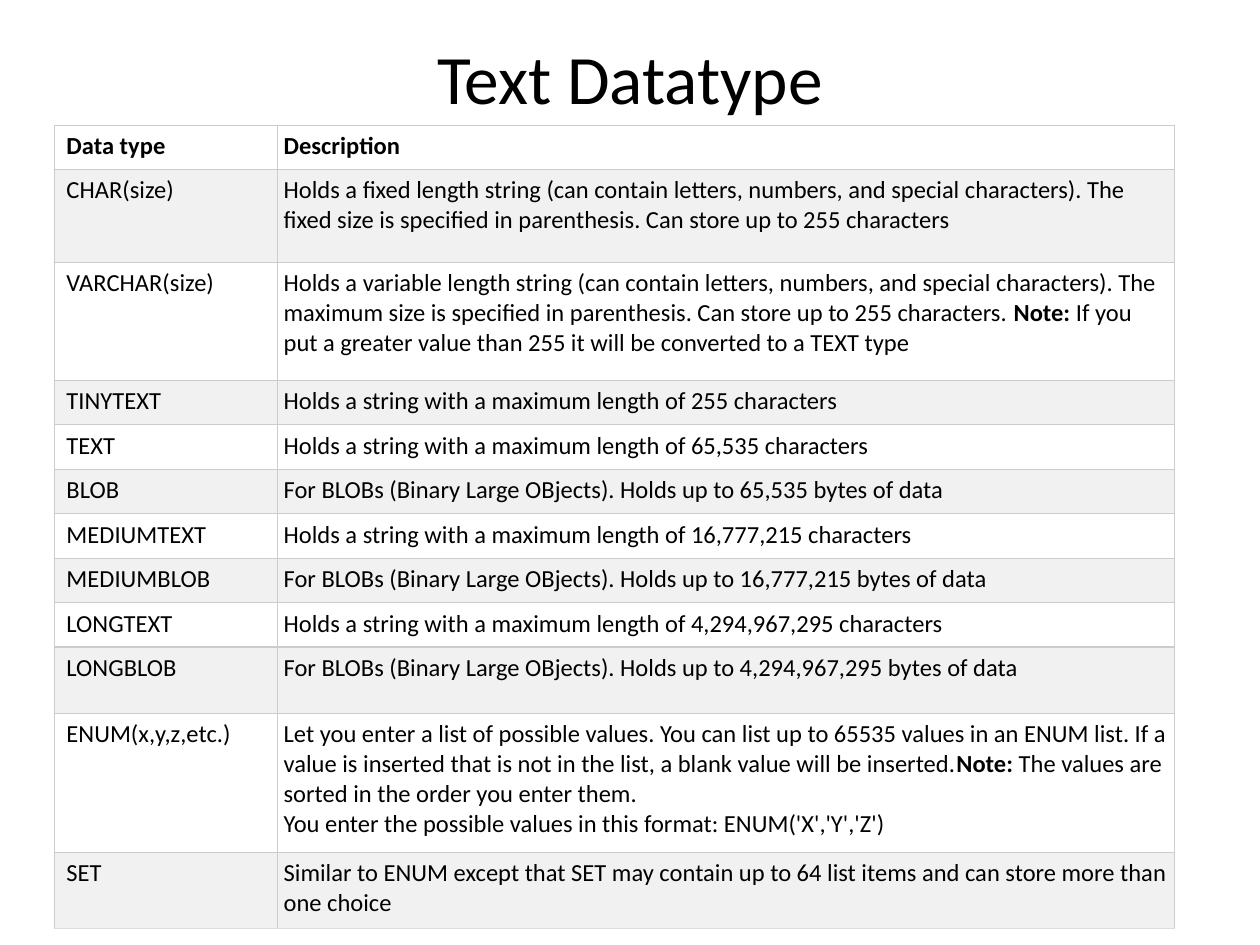
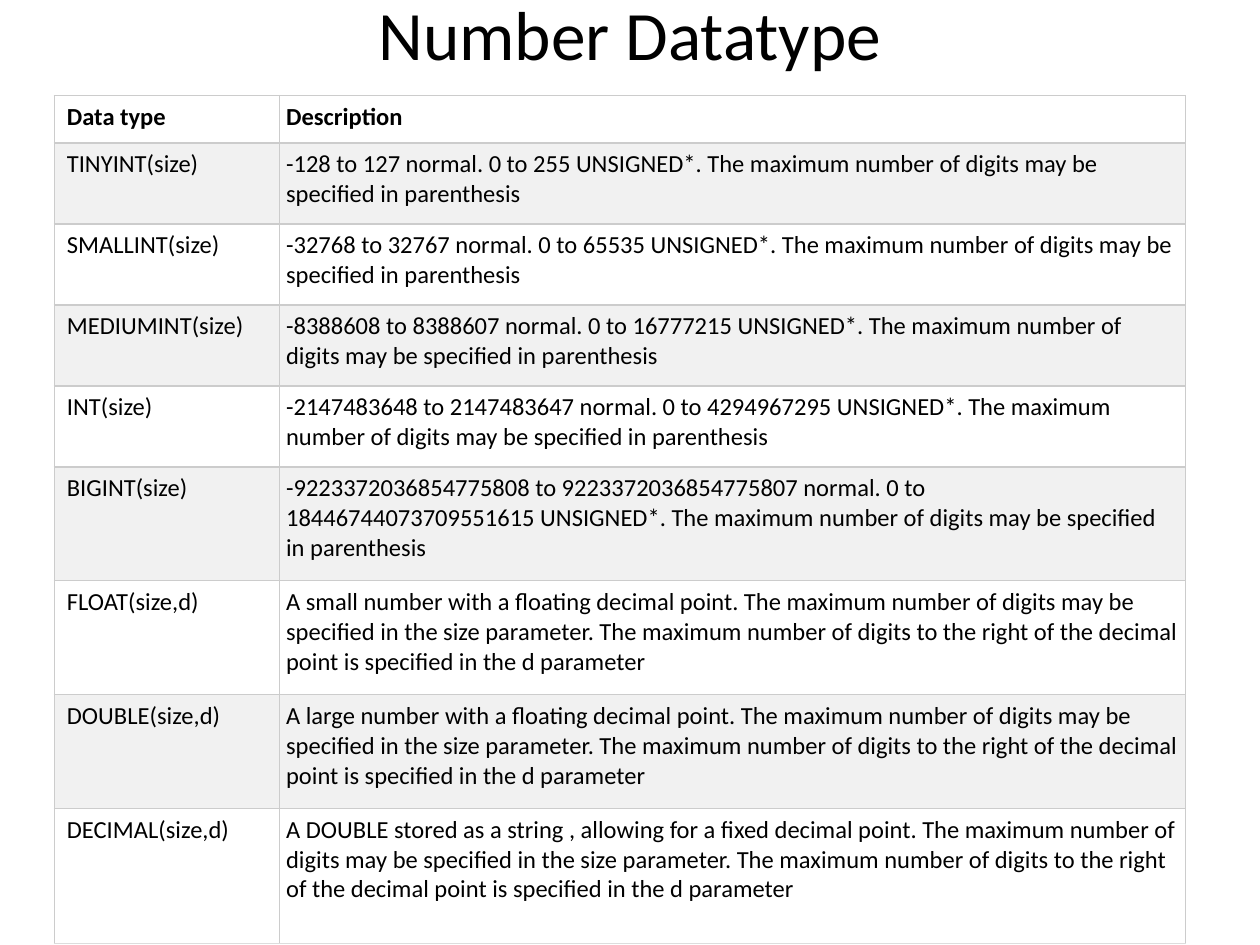
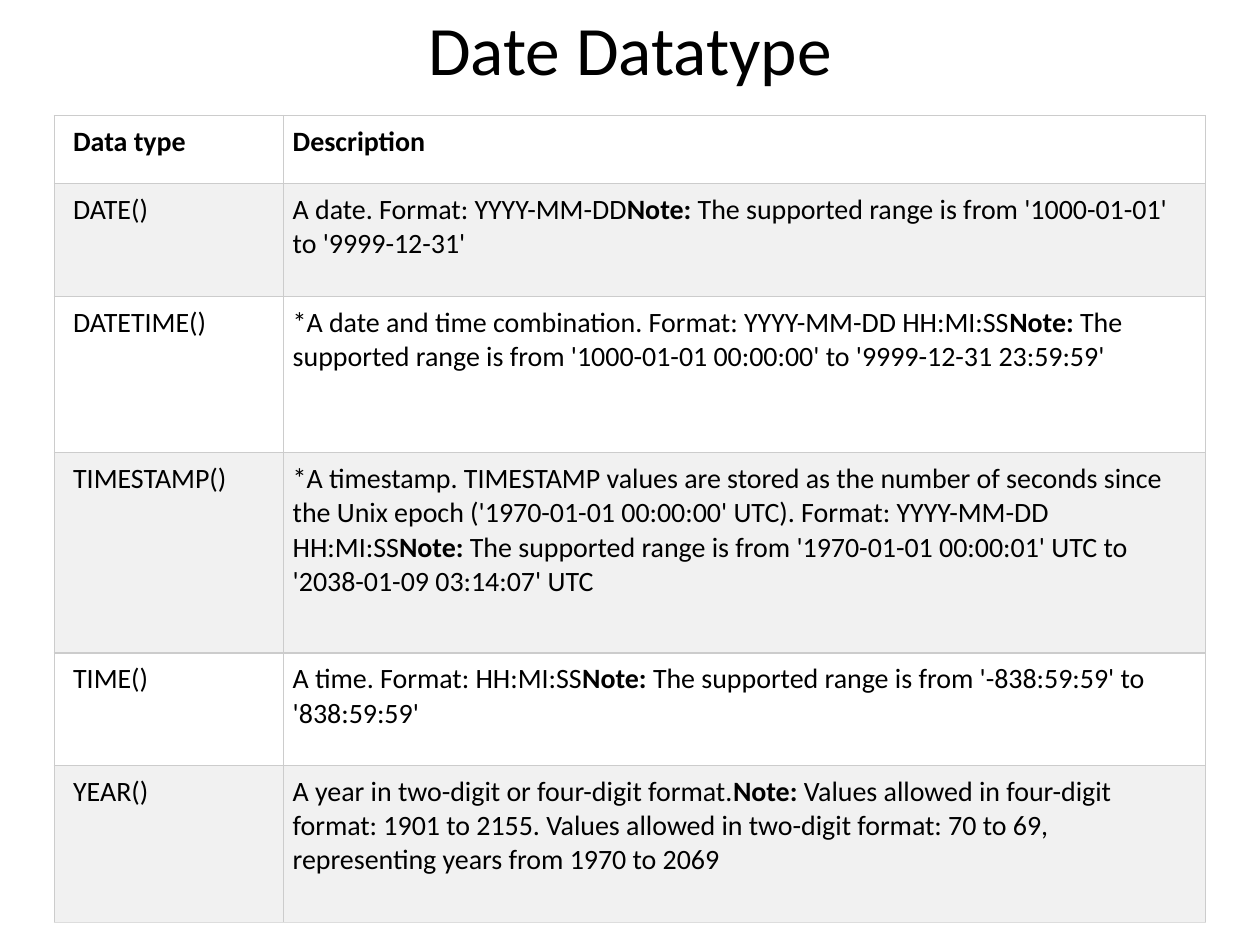
from dataclasses import dataclass

from lxml import etree
from pptx import Presentation
from pptx.dml.color import RGBColor
from pptx.enum.text import MSO_ANCHOR, MSO_AUTO_SIZE, PP_ALIGN
from pptx.oxml.ns import qn
from pptx.util import Pt

MIDDLE = MSO_ANCHOR.MIDDLE
TOP = MSO_ANCHOR.TOP
CENTER = PP_ALIGN.CENTER
LEFT = PP_ALIGN.LEFT
NO_AUTOFIT = MSO_AUTO_SIZE.NONE
TITLE_ONLY = 5


@dataclass(frozen=True)
class Theme:
    font: str = "Calibri"
    text: str = "000000"
    plain_row: str = "FFFFFF"
    banded_row: str = "F1F1F1"
    border: str = "CCCCCC"
    last_border: str = "DDDDDD"
    border_width: float = 0.75
    title_size: float = 39.6
    title_left: float = 36
    title_width: float = 648
    table_left: float = 31


theme = Theme()


def add_run(paragraph, text, size, bold=False):
    run = paragraph.add_run()
    run.text = text
    run.font.name = theme.font
    run.font.size = Pt(size)
    run.font.bold = bold
    run.font.color.rgb = RGBColor.from_string(theme.text)


def add_border(cell, side, color):
    line = etree.SubElement(cell._tc.get_or_add_tcPr(), qn("a:" + side),
                            w=str(Pt(theme.border_width)))
    fill = etree.SubElement(line, qn("a:solidFill"))
    etree.SubElement(fill, qn("a:srgbClr"), val=color)


# Wording that several rows share
IN_PARENTHESIS = "The maximum number of digits may be specified in parenthesis"
SIZE_AND_D = ("The maximum number of digits may be specified in the size parameter. "
              "The maximum number of digits to the right of the decimal point "
              "is specified in the d parameter")
STRING = "Holds a string with a maximum length of {} characters"
BLOB = "For BLOBs (Binary Large OBjects). Holds up to {} bytes of data"
CHARACTERS = "(can contain letters, numbers, and special characters)"
NOTE = "Note:"

# Each row: height, data type, description; a line break starts a new paragraph
text_rows = [
    (25.4, "Data type", "Description"),
    (53.1, "CHAR(size)",
     f"Holds a fixed length string {CHARACTERS}. The fixed size is specified in "
     "parenthesis. Can store up to 255 characters"),
    (67.4, "VARCHAR(size)",
     f"Holds a variable length string {CHARACTERS}. The maximum size is specified in "
     "parenthesis. Can store up to 255 characters.\u00a0Note:\u00a0If you put a greater "
     "value than 255 it will be converted to a TEXT type"),
    (25.4, "TINYTEXT", STRING.format("255")),
    (25.4, "TEXT", STRING.format("65,535")),
    (25.4, "BLOB", BLOB.format("65,535")),
    (25.4, "MEDIUMTEXT", STRING.format("16,777,215")),
    (25.4, "MEDIUMBLOB", BLOB.format("16,777,215")),
    (25.4, "LONGTEXT", STRING.format("4,294,967,295")),
    (37.8, "LONGBLOB", BLOB.format("4,294,967,295")),
    (79.4, "ENUM(x,y,z,etc.)",
     "Let you enter a list of possible values. You can list up to 65535 values in an "
     "ENUM list. If a value is inserted that is not in the list, a blank value will be "
     "inserted.Note:\u00a0The values are sorted in the order you enter them.\n"
     "You enter the possible values in this format: ENUM('X','Y','Z')"),
    (43.4, "SET",
     "Similar to ENUM except that SET may contain up to 64 list items and can store "
     "more than one choice"),
]
number_rows = [
    (27.2, "Data type", "Description"),
    (46.3, "TINYINT(size)",
     f"-128 to 127 normal. 0 to 255 UNSIGNED*. {IN_PARENTHESIS}"),
    (46.3, "SMALLINT(size)",
     f"-32768 to 32767 normal. 0 to 65535 UNSIGNED*. {IN_PARENTHESIS}"),
    (46.3, "MEDIUMINT(size)",
     f"-8388608 to 8388607 normal. 0 to 16777215 UNSIGNED*. {IN_PARENTHESIS}"),
    (46.3, "INT(size)",
     f"-2147483648 to 2147483647 normal. 0 to 4294967295 UNSIGNED*. {IN_PARENTHESIS}"),
    (65.1, "BIGINT(size)",
     "-9223372036854775808 to 9223372036854775807 normal. 0 to 18446744073709551615 "
     f"UNSIGNED*. {IN_PARENTHESIS}"),
    (65.1, "FLOAT(size,d)", f"A small number with a floating decimal point. {SIZE_AND_D}"),
    (65.1, "DOUBLE(size,d)", f"A large number with a floating decimal point. {SIZE_AND_D}"),
    (77, "DECIMAL(size,d)",
     f"A DOUBLE stored as a string , allowing for a fixed decimal point. {SIZE_AND_D}"),
]
date_rows = [
    (38.9, "Data type", "Description"),
    (64.4, "DATE()",
     "A date. Format: YYYY-MM-DDNote:\u00a0The supported range is from '1000-01-01' "
     "to '9999-12-31'"),
    (89.5, "DATETIME()",
     "*A date and time combination. Format: YYYY-MM-DD HH:MI:SSNote:\u00a0The supported "
     "range is from '1000-01-01 00:00:00' to '9999-12-31 23:59:59'"),
    (114.4, "TIMESTAMP()",
     "*A timestamp. TIMESTAMP values are stored as the number of seconds since the Unix "
     "epoch ('1970-01-01 00:00:00' UTC). Format: YYYY-MM-DD HH:MI:SSNote:\u00a0The "
     "supported range is from '1970-01-01 00:00:01' UTC to '2038-01-09 03:14:07' UTC"),
    (64.4, "TIME()",
     "A time. Format: HH:MI:SSNote:\u00a0The supported range is from '-838:59:59' "
     "to '838:59:59'"),
    (89.5, "YEAR()",
     "A year in two-digit or four-digit format.Note:\u00a0Values allowed in four-digit "
     "format: 1901 to 2155. Values allowed in two-digit format: 70 to 69, representing "
     "years from 1970 to 2069"),
]

# Each slide: title, title top and height, table top, column widths,
# type size, wide first inset, inset, rows
slides = [
    ("Text Datatype", 21.6, 44, 71.5, (127.6, 512.8), 14, 7, 3.5, text_rows),
    ("Number Datatype", 0, 37.5, 54.5, (128.9, 517.7), 14, 7.2, 3.6, number_rows),
    ("Date Datatype", 0, 54.5, 66, (131, 527), 16, 10.8, 5.3, date_rows),
]

presentation = Presentation()
presentation.slide_width = Pt(720)
presentation.slide_height = Pt(540)

for (heading, title_top, title_height, table_top, widths,
     size, first_inset, inset, rows) in slides:
    slide = presentation.slides.add_slide(presentation.slide_layouts[TITLE_ONLY])

    # Title
    title = slide.shapes.title
    title.left, title.top = Pt(theme.title_left), Pt(title_top)
    title.width, title.height = Pt(theme.title_width), Pt(title_height)
    title.text_frame.auto_size = NO_AUTOFIT
    title.text_frame.vertical_anchor = MIDDLE
    paragraph = title.text_frame.paragraphs[0]
    paragraph.alignment = CENTER
    add_run(paragraph, heading, theme.title_size)

    # Table grid
    table = slide.shapes.add_table(
        len(rows), len(widths), Pt(theme.table_left), Pt(table_top),
        Pt(sum(widths)), Pt(sum(row[0] for row in rows))).table
    table.first_row = table.horz_banding = False
    for column, width in zip(table.columns, widths):
        column.width = Pt(width)

    # Table cells
    for row_index, (height, *texts) in enumerate(rows):
        table.rows[row_index].height = Pt(height)
        is_header = row_index == 0
        is_last = row_index == len(rows) - 1
        fill_color = theme.banded_row if row_index % 2 else theme.plain_row
        for column_index, text in enumerate(texts):
            cell = table.cell(row_index, column_index)
            cell.margin_left = Pt(inset if column_index else first_inset)
            cell.margin_right = cell.margin_top = cell.margin_bottom = Pt(inset)
            cell.vertical_anchor = TOP
            for side in ("lnL", "lnR", "lnT"):
                add_border(cell, side, theme.border)
            add_border(cell, "lnB", theme.last_border if is_last else theme.border)
            cell.fill.solid()
            cell.fill.fore_color.rgb = RGBColor.from_string(fill_color)
            for line_index, line in enumerate(text.split("\n")):
                frame = cell.text_frame
                paragraph = frame.add_paragraph() if line_index else frame.paragraphs[0]
                paragraph.alignment = LEFT
                for part in line.partition(NOTE):
                    if part:
                        add_run(paragraph, part, size, is_header or part == NOTE)

presentation.save("out.pptx")
